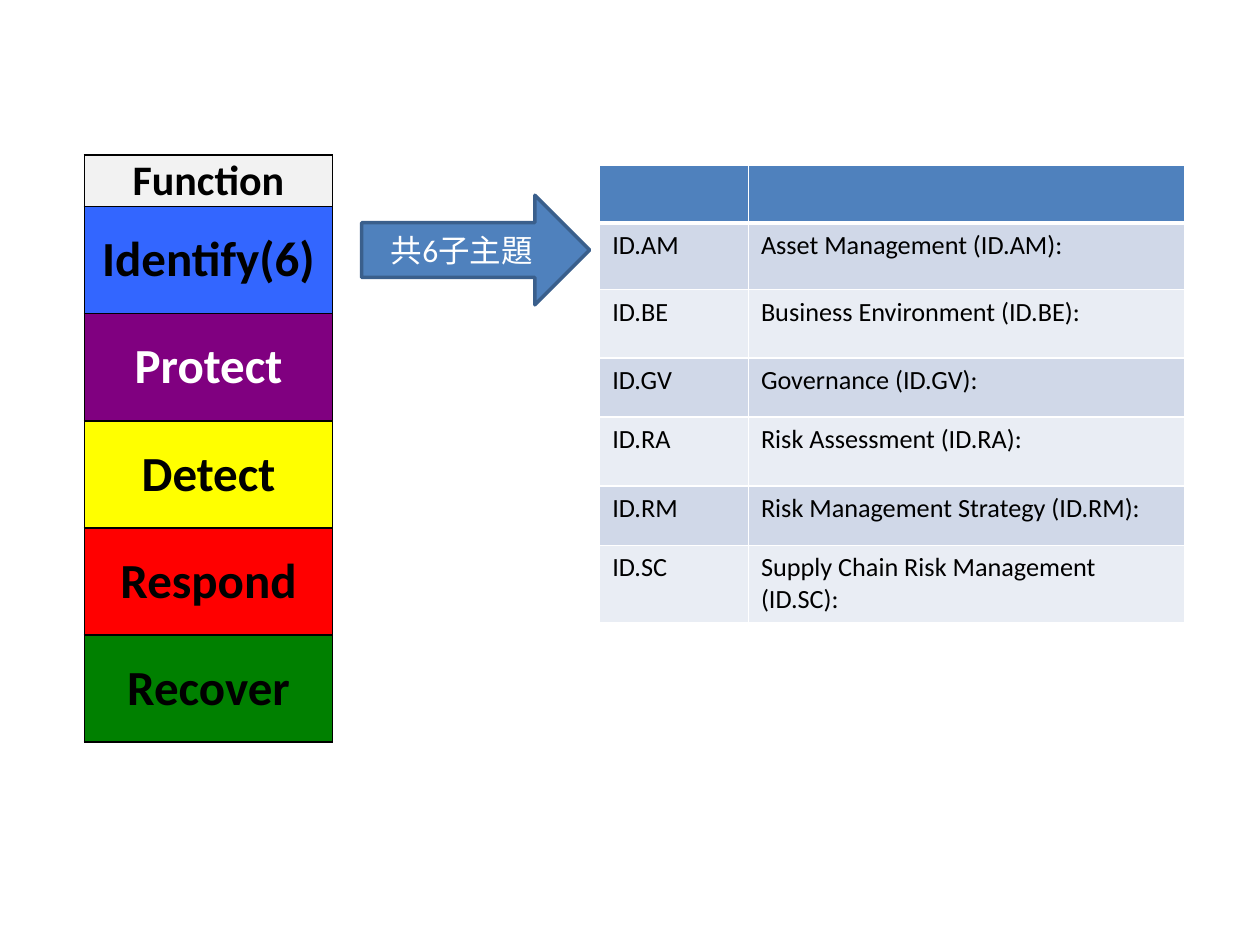
from dataclasses import dataclass

from pptx import Presentation, util as u
from pptx.dml.color import RGBColor
from pptx.enum import shapes, text
from pptx.oxml import parse_xml
from pptx.oxml.ns import nsdecls
from pptx.table import Table, _Cell


@dataclass(frozen=True)
class Theme:
    font: str = "Calibri"
    black: str = "000000"
    white: str = "FFFFFF"
    blue: str = "4F81BD"
    edge: str = "3A5F8C"
    bands: tuple = ("D0D8E8", "E9EDF4")
    body: int = 15
    label: int = 18
    head: int = 24
    big: int = 28


@dataclass(frozen=True)
class Step:
    name: str
    fill: str
    ink: str = Theme.black
    size: int = Theme.big
    high: float = 0.85


@dataclass(frozen=True)
class Topic:
    code: str
    name: str
    high: float


THEME = Theme()
STEPS = [
    Step("Function", "F2F2F2", size=THEME.head, high=0.41),
    Step("Identify(6)", "3366FF"),
    Step("Protect", "800080", ink=THEME.white),
    Step("Detect", "FFFF00"),
    Step("Respond", "FF0000"),
    Step("Recover", "008000"),
]
TOPICS = [
    Topic("ID.AM", "Asset Management", 0.53),
    Topic("ID.BE", "Business Environment", 0.54),
    Topic("ID.GV", "Governance", 0.47),
    Topic("ID.RA", "Risk Assessment", 0.55),
    Topic("ID.RM", "Risk Management Strategy", 0.47),
    Topic("ID.SC", "Supply Chain Risk Management", 0.53),
]


def style(par, size: int, ink: str, bold: bool = False) -> None:
    font = par.font
    font.name, font.size, font.bold = THEME.font, u.Pt(size), bold
    font.color.rgb = RGBColor.from_string(ink)


def paint(cell: _Cell, fill: str, line: str, base: int = 1) -> None:
    """Fill a cell and border it; base is the width of its bottom line."""
    cell.fill.solid()
    cell.fill.fore_color.rgb = RGBColor.from_string(fill)
    props = cell._tc.get_or_add_tcPr()
    for spot, side in enumerate("LRTB"):
        wide = u.Pt(base if side == "B" else 1)
        props.insert(spot, parse_xml(
            f'<a:ln{side} {nsdecls("a")} w="{wide}"><a:solidFill>'
            f'<a:srgbClr val="{line}"/></a:solidFill></a:ln{side}>'))


def grid(slide, left: float, top: float, cols: list[float],
         rows: list[float]) -> Table:
    frame = slide.shapes.add_table(
        len(rows), len(cols), u.Inches(left), u.Inches(top),
        u.Inches(sum(cols)), u.Inches(sum(rows)))
    table = frame.table
    table.first_row = table.horz_banding = False
    for col, wide in zip(table.columns, cols):
        col.width = u.Inches(wide)
    for row, high in zip(table.rows, rows):
        row.height = u.Inches(high)
    return table


def draw_topics(slide) -> None:
    rows = [0.46] + [topic.high for topic in TOPICS]
    table = grid(slide, 4.76, 1.31, [1.18, 3.46], rows)
    for cell in table.rows[0].cells:
        paint(cell, THEME.blue, THEME.white, base=3)
    for row, topic in enumerate(TOPICS, 1):
        words = topic.code, f"{topic.name} ({topic.code}):"
        for col, word in enumerate(words):
            cell = table.cell(row, col)
            cell.text = word
            style(cell.text_frame.paragraphs[0], THEME.body, THEME.black)
            paint(cell, THEME.bands[(row - 1) % 2], THEME.white)


def draw_steps(slide) -> None:
    table = grid(slide, 0.67, 1.23, [1.97], [step.high for step in STEPS])
    for row, step in enumerate(STEPS):
        cell = table.cell(row, 0)
        cell.text = step.name
        cell.vertical_anchor = text.MSO_ANCHOR.MIDDLE
        cell.margin_left = cell.margin_right = u.Inches(0.02)
        cell.margin_top = cell.margin_bottom = 0
        par = cell.text_frame.paragraphs[0]
        par.alignment = text.PP_ALIGN.CENTER
        par.space_after = u.Pt(6)
        style(par, step.size, step.ink, bold=True)
        paint(cell, step.fill, THEME.black)


def draw_arrow(slide) -> None:
    arrow = slide.shapes.add_shape(
        shapes.MSO_SHAPE.RIGHT_ARROW, u.Inches(2.87), u.Inches(1.55),
        u.Inches(1.81), u.Inches(0.87))
    arrow.shadow.inherit = False
    arrow.fill.solid()
    arrow.fill.fore_color.rgb = RGBColor.from_string(THEME.blue)
    arrow.line.color.rgb = RGBColor.from_string(THEME.edge)
    arrow.line.width = u.Pt(2)
    frame = arrow.text_frame
    frame.text = "共6子主題"
    frame.word_wrap = True
    frame.vertical_anchor = text.MSO_ANCHOR.MIDDLE
    par = frame.paragraphs[0]
    par.alignment = text.PP_ALIGN.CENTER
    style(par, THEME.label, THEME.white)


def main() -> None:
    deck = Presentation()
    deck.slide_width, deck.slide_height = u.Inches(10), u.Inches(7.5)
    slide = deck.slides.add_slide(deck.slide_layouts[6])
    draw_topics(slide)
    draw_steps(slide)
    draw_arrow(slide)
    deck.save("out.pptx")


if __name__ == "__main__":
    main()
